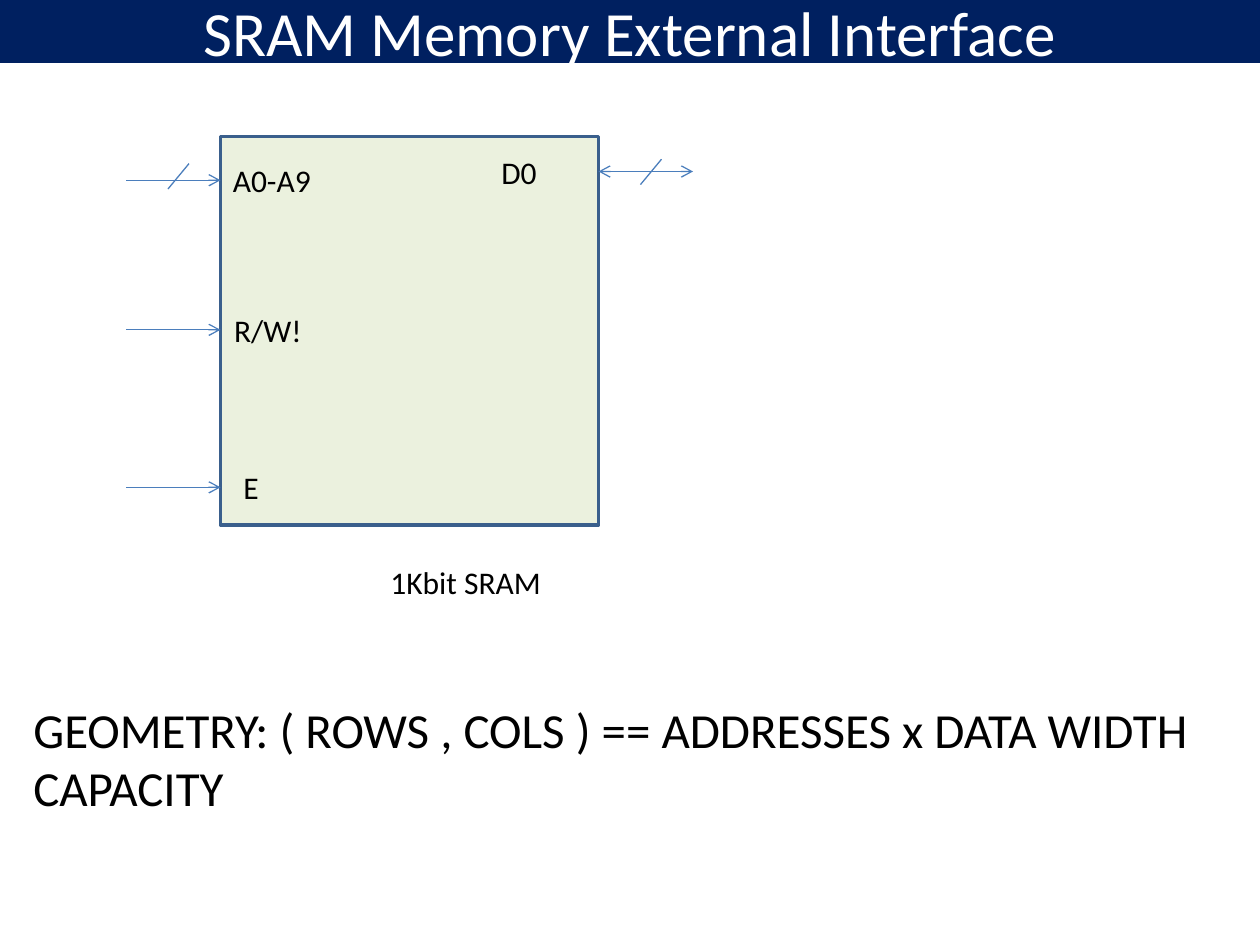
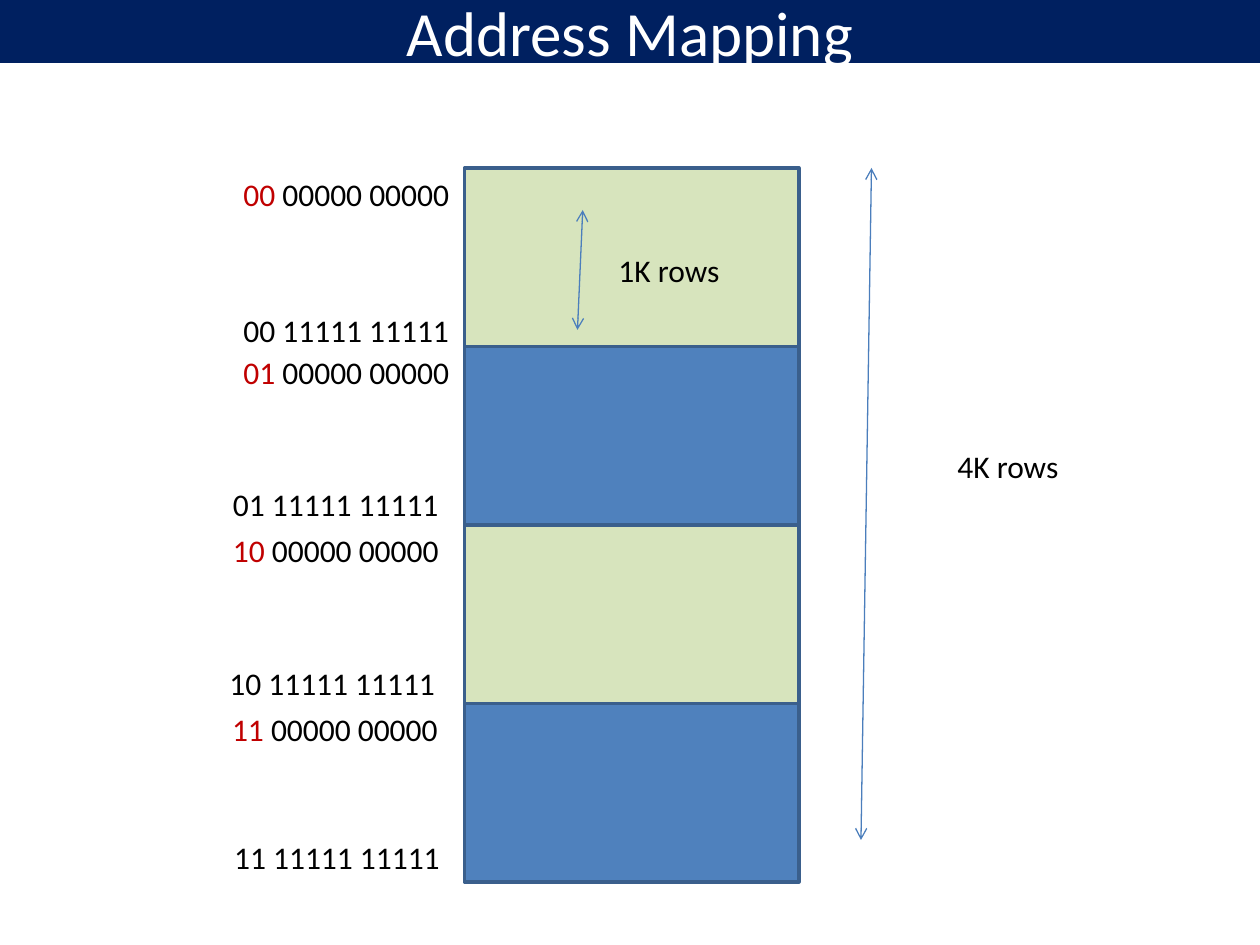
from dataclasses import dataclass

from lxml import etree
from pptx import Presentation
from pptx import util as u
from pptx.dml.color import RGBColor
from pptx.enum import shapes, text
from pptx.oxml.ns import qn


@dataclass(frozen=True)
class Theme:
    font: str = "Calibri"
    title_size: int = 36
    note_size: int = 28
    label_size: int = 18
    band: str = "002060"
    title_text: str = "FFFFFF"
    ink: str = "000000"
    bank_bits: str = "C00000"
    chip: str = "EBF1DE"
    green_bank: str = "D7E4BD"
    blue_bank: str = "4F81BD"
    outline: str = "3A5F8C"
    wire: str = "4B7EBC"


theme = Theme()


def add_box(slide, left, top, width, height, paragraphs=(), size=theme.label_size,
            fill=None, outline=None):
    frame = [u.Pt(value) for value in (left, top, width, height)]
    if fill:
        shape = slide.shapes.add_shape(shapes.MSO_SHAPE.RECTANGLE, *frame)
        shape.shadow.inherit = False
        shape.fill.solid()
        shape.fill.fore_color.rgb = RGBColor.from_string(fill)
        if outline:
            shape.line.color.rgb = RGBColor.from_string(outline)
            shape.line.width = u.Pt(2)
        else:
            shape.line.fill.background()
    else:
        shape = slide.shapes.add_textbox(*frame)
        shape.text_frame.auto_size = text.MSO_AUTO_SIZE.SHAPE_TO_FIT_TEXT
    shape.text_frame.word_wrap = bool(fill)
    for index, runs in enumerate(paragraphs):
        if index == 0:
            paragraph = shape.text_frame.paragraphs[0]
        else:
            paragraph = shape.text_frame.add_paragraph()
        paragraph.alignment = text.PP_ALIGN.CENTER if fill else text.PP_ALIGN.LEFT
        for wording, color in runs:
            run = paragraph.add_run()
            run.text = wording
            run.font.name = theme.font
            run.font.size = u.Pt(size)
            run.font.color.rgb = RGBColor.from_string(color)


def add_wire(slide, start, end, arrow_ends=()):
    points = [u.Pt(value) for value in (*start, *end)]
    connector = slide.shapes.add_connector(shapes.MSO_CONNECTOR.STRAIGHT, *points)
    connector.line.color.rgb = RGBColor.from_string(theme.wire)
    connector.line.width = u.Pt(0.75)
    line = connector.line._get_or_add_ln()
    for arrow_end in arrow_ends:
        etree.SubElement(line, qn(f"a:{arrow_end}"), type="arrow")
    etree.SubElement(connector._element.spPr, qn("a:effectLst"))


slide_width, band_height, label_height = 720, 36, 28.8
one_way = ("tailEnd",)
two_way = ("headEnd", "tailEnd")

presentation = Presentation()
presentation.slide_width = u.Pt(slide_width)
presentation.slide_height = u.Pt(540)

slides = []
for title in ("SRAM Memory External Interface", "Address Mapping"):
    slide = presentation.slides.add_slide(presentation.slide_layouts[6])
    add_box(slide, 0, 0, slide_width, band_height, [[(title, theme.title_text)]],
            theme.title_size, theme.band)
    slides.append(slide)
interface, mapping = slides

chip_left, chip_width, pin_length = 126, 216, 54
chip_right = chip_left + chip_width
add_box(interface, chip_left, 78, chip_width, 222, fill=theme.chip, outline=theme.outline)

for wire_y in (103, 188.5, 278.5):
    add_wire(interface, (chip_left - pin_length, wire_y), (chip_left, wire_y), one_way)
add_wire(interface, (chip_right, 98), (chip_right + pin_length, 98), two_way)

for slash_right, slash_top in ((108, 93.5), (378, 91)):
    add_wire(interface, (slash_right, slash_top), (slash_right - 12, slash_top + 14.5))

for wording, left, top, width in (
    ("A0-A9", 126, 88.6, 59.8),
    ("D0", 279.4, 83.8, 35.3),
    ("R/W!", 126.7, 174.2, 53.3),
    ("E", 132, 264.2, 23),
    ("1Kbit SRAM", 216, 318.2, 101.5),
):
    add_box(interface, left, top, width, label_height, [[(wording, theme.ink)]])

geometry_notes = ("GEOMETRY: ( ROWS , COLS ) == ADDRESSES x DATA WIDTH", "CAPACITY")
add_box(interface, 12, 396, 682, 75, [[(note, theme.ink)] for note in geometry_notes],
        theme.note_size)

bank_left, bank_top, bank_width, bank_height = 265.5, 96, 191, 102
address_width = 133.2
banks = (
    ("00", 132, 132, 174.2),
    ("01", 132, 126, 273.6),
    ("10", 126, 124, 375.8),
    ("11", 125.5, 126.7, 475.2),
)
for index, (bits, first_left, last_left, last_top) in enumerate(banks):
    top = bank_top + index * bank_height
    fill = theme.blue_bank if index % 2 else theme.green_bank
    add_box(mapping, bank_left, top, bank_width, bank_height, fill=fill, outline=theme.outline)
    add_box(mapping, first_left, top + 0.2, address_width, label_height,
            [[(bits, theme.bank_bits), (" 00000 00000", theme.ink)]])
    add_box(mapping, last_left, last_top, address_width, label_height,
            [[(f"{bits} 11111 11111", theme.ink)]])

for wording, left, top, start, end in (
    ("1K rows", 346.3, 139.7, (333, 120), (330, 188.5)),
    ("4K rows", 540, 252, (498, 96), (492, 480)),
):
    add_wire(mapping, start, end, two_way)
    add_box(mapping, left, top, 72.7, label_height, [[(wording, theme.ink)]])

presentation.save("out.pptx")
